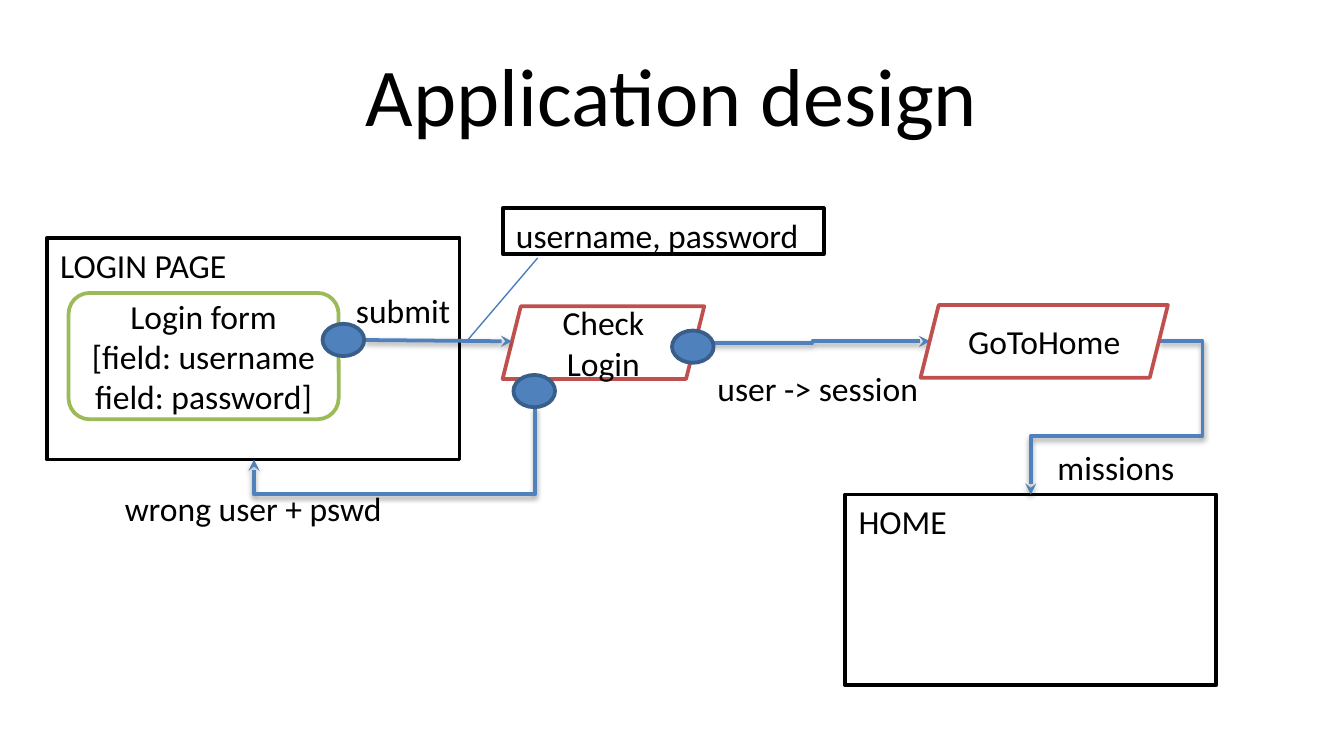
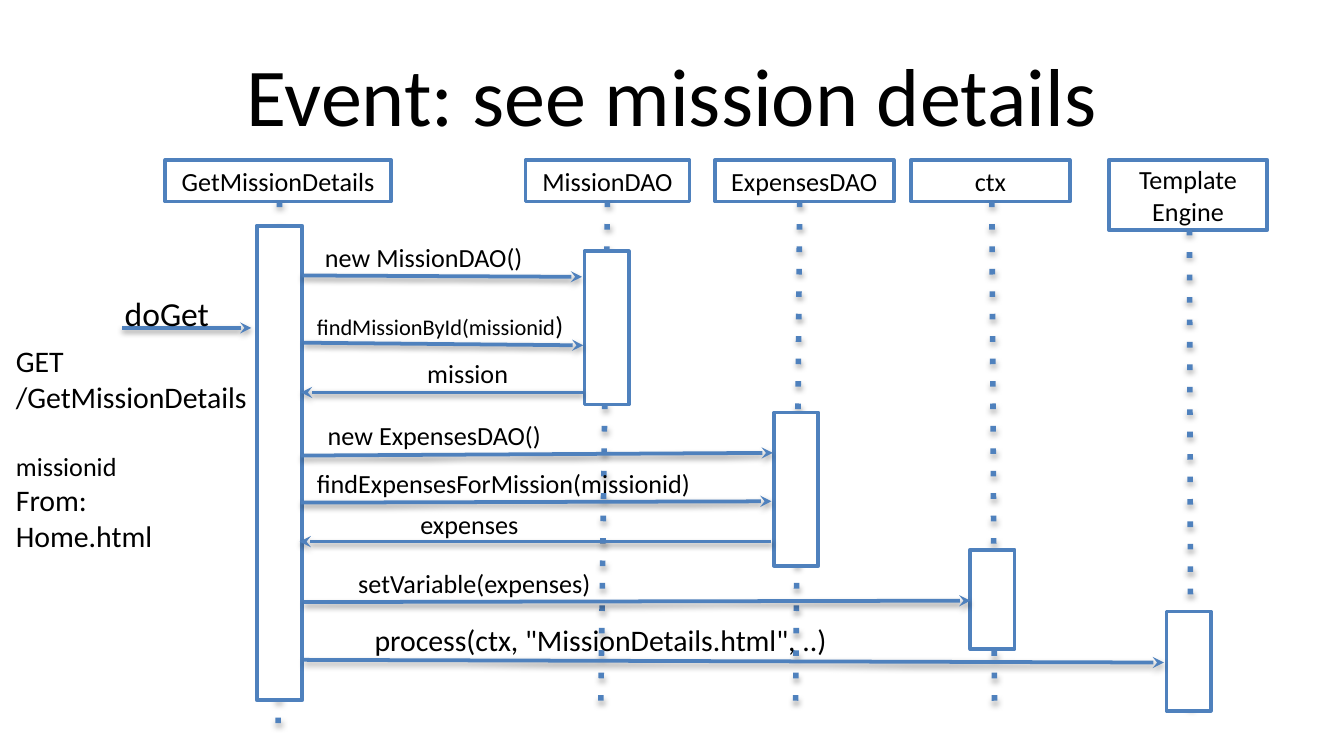
from lxml.etree import SubElement
from pptx import Presentation
from pptx.dml.color import RGBColor as RGB
from pptx.enum.shapes import MSO_CONNECTOR as CONN, MSO_SHAPE as SHAPE
from pptx.enum.text import MSO_ANCHOR as ANCHOR, PP_ALIGN as ALIGN
from pptx.oxml.ns import qn
from pptx.util import Inches, Pt

COLORS = {
    "black": "000000", "white": "FFFFFF", "blue": "4F81BD", "navy": "395E89",
    "note": "4A7DBA", "green": "9BBB59", "red": "C0504D",
}
FONT = "Calibri"


def add_box(s, kind, at, text="", size=18, fill="white", line="blue",
            align=ALIGN.LEFT, anchor=ANCHOR.TOP):
    """Add a preset shape, or a plain text box when kind is None."""
    at = [Inches(v) for v in at]
    if kind is None:
        sp = s.shapes.add_textbox(*at)
    else:
        sp = s.shapes.add_shape(kind, *at)
        sp.shadow.inherit = False
        sp.fill.solid()
        sp.fill.fore_color.rgb = RGB.from_string(COLORS[fill])
        sp.line.color.rgb = RGB.from_string(COLORS[line])
        sp.line.width = Pt(2)
    tf = sp.text_frame
    tf.word_wrap = True
    tf.vertical_anchor = anchor
    tf.text = text
    for p in tf.paragraphs:
        p.alignment = align
        for r in p.runs:
            r.font.name, r.font.size = FONT, Pt(size)
            r.font.color.rgb = RGB.from_string(COLORS["black"])
        for br in p._p.findall(qn("a:br")):
            SubElement(br, qn("a:rPr"), sz=str(size * 100))
    return sp


def add_line(s, points, kind=CONN.STRAIGHT, color="blue", width=2,
             arrow=True, dotted=False, shadow=True, adjust=()):
    c = s.shapes.add_connector(kind, *[Inches(v) for v in points])
    c.line.color.rgb = RGB.from_string(COLORS[color])
    c.line.width = Pt(width)
    sp_pr = c._element.spPr
    ln = sp_pr.find(qn("a:ln"))
    if dotted:
        SubElement(ln, qn("a:prstDash"), val="dot")
    if arrow:
        SubElement(ln, qn("a:tailEnd"), type="stealth")
    effects = SubElement(sp_pr, qn("a:effectLst"))
    if shadow:
        outer = SubElement(effects, qn("a:outerShdw"), blurRad=str(Pt(3.1)),
                           dist=str(Pt(1.8 if dotted else 1.6)),
                           dir="5400000", rotWithShape="0")
        black = SubElement(outer, qn("a:srgbClr"), val=COLORS["black"])
        SubElement(black, qn("a:alpha"), val="35000" if dotted else "38000")
    if adjust:
        geom = sp_pr.find(qn("a:prstGeom"))
        geom.set("prst", f"bentConnector{len(adjust) + 2}")
        guides = geom.find(qn("a:avLst"))
        for i, value in enumerate(adjust, 1):
            SubElement(guides, qn("a:gd"), name=f"adj{i}", fmla=f"val {value}")
    return c


prs = Presentation()
prs.slide_width = Inches(10)
prs.slide_height = prs.slide_width * 9 // 16
slides = []
for title in ("Application design", "Event: see mission details"):
    s = prs.slides.add_slide(prs.slide_layouts[5])
    sp = s.shapes.title
    sp.left, sp.top, sp.width, sp.height = [Inches(v) for v in (0.5, 0.23, 9, 0.94)]
    sp.text_frame.text = title
    sp.text_frame.vertical_anchor = ANCHOR.MIDDLE
    p = sp.text_frame.paragraphs[0]
    p.alignment = ALIGN.CENTER
    f = p.runs[0].font
    f.name, f.size = FONT, Pt(44)
    f.color.rgb = RGB.from_string(COLORS["black"])
    slides.append(s)
design, event = slides
centered = {"align": ALIGN.CENTER, "anchor": ANCHOR.MIDDLE}

# Application design: pages, form and actions
for at, text in [
    ((0.35, 1.77, 3.07, 1.65), "LOGIN PAGE"),
    ((6.29, 3.68, 2.76, 1.42), "HOME"),
    ((3.74, 1.55, 2.39, 0.34), "username, password"),
]:
    add_box(design, SHAPE.RECTANGLE, at, text, line="black")
add_box(design, SHAPE.ROUNDED_RECTANGLE, (0.51, 2.18, 2.01, 0.94),
        "Login form\v[field: username\nfield: password]", line="green", **centered)

# Flows between them
add_line(design, (5.17, 2.55, 6.92, 2.54), CONN.ELBOW, adjust=(50000,))
wrong_login = add_line(design, (2.74, 2.18, 3.13, 4.27), CONN.ELBOW, adjust=(166200,))
wrong_login._element.spPr.find(qn("a:xfrm")).set("rot", "5400000")
add_line(design, (8.62, 2.54, 7.67, 3.68), CONN.ELBOW, adjust=(-34500, 61800))
add_line(design, (4, 1.92, 3.48, 2.53), color="note", width=0.75, arrow=False, shadow=False)

for at, text in [
    ((3.74, 2.28, 1.5, 0.54), "Check\vLogin"),
    ((6.85, 2.27, 1.84, 0.54), "GoToHome"),
]:
    add_box(design, SHAPE.PARALLELOGRAM, at, text, line="red", **centered)
add_line(design, (2.72, 2.53, 3.81, 2.54))
for x, y in [(2.4, 2.41), (5, 2.46), (3.82, 2.79)]:
    add_box(design, SHAPE.OVAL, (x, y, 0.31, 0.24), fill="blue", line="navy")
for x, y, w, text in [
    (2.55, 2.11, 0.91, "submit"),
    (0.83, 3.58, 2.72, "wrong user + pswd"),
    (5.24, 2.69, 1.7, "user -> session"),
    (7.77, 3.28, 1.7, "missions"),
]:
    add_box(design, None, (x, y, w, 0.3), text)

# Event: participants as (name, left, width, height, lifeline, bar)
participants = [
    ("GetMissionDetails", 1.23, 1.68, 0.31, (2.08, 2.07, 5.42), (1.91, 1.68, 0.34, 3.53)),
    ("MissionDAO", 3.91, 1.22, 0.31, (4.52, 4.47, 5.28), (4.35, 1.87, 0.33, 1.14)),
    ("ExpensesDAO", 5.32, 1.33, 0.31, (5.95, 5.92, 5.25), (5.76, 3.07, 0.33, 1.14)),
    ("ctx", 6.78, 1.18, 0.31, (7.38, 7.4, 5.24), (7.22, 4.09, 0.33, 0.74)),
    ("Template\vEngine", 8.25, 1.18, 0.52, (8.85, 8.86, 5.27), (8.68, 4.55, 0.33, 0.74)),
]
top = 1.19
for name, x, w, h, (x1, x2, bottom), bar in participants:
    add_box(event, SHAPE.RECTANGLE, (x, top, w, h), name, 14, **centered)
    add_line(event, (x1, top + h, x2, bottom), width=3, arrow=False, dotted=True)
    add_box(event, SHAPE.RECTANGLE, bar)

# Messages as (text, size, alignment, label box, arrow)
left, center = ALIGN.LEFT, ALIGN.CENTER
messages = [
    ("doGet", 18, left, (0.83, 2.13, 1, 0.3), (0.91, 2.44, 1.87, 2.44)),
    ("new MissionDAO()", 14, left, (2.32, 1.75, 1.76, 0.25), (2.25, 2.05, 4.33, 2.06)),
    ("findMissionById(missionid", 12, left, (2.26, 2.25, 2.82, 0.25), (2.26, 2.55, 4.34, 2.57)),
    ("mission", 14, left, (3.08, 2.61, 1, 0.25), (4.34, 2.92, 2.24, 2.92)),
    ("new ExpensesDAO()", 14, left, (2.34, 3.07, 1.88, 0.25), (2.24, 3.39, 5.75, 3.37)),
    ("findExpensesForMission(missionid)", 14, left, (2.26, 3.43, 3.06, 0.3),
     (2.24, 3.74, 5.74, 3.73)),
    ("expenses", 14, left, (3.03, 3.73, 1, 0.25), (5.74, 4.03, 2.23, 4.03)),
    ("setVariable(expenses)", 14, center, (2.51, 4.17, 2.04, 0.28), (2.26, 4.48, 7.22, 4.47)),
    ('process(ctx, "MissionDetails.html", ..)', 16, center, (2.58, 4.58, 3.78, 0.36),
     (2.26, 4.91, 8.66, 4.93)),
]
for text, size, align, at, points in messages:
    add_line(event, points)
    sp = add_box(event, None, at, text, size, align=align)
    if text.startswith("findMissionById"):
        r = sp.text_frame.paragraphs[0].add_run()
        r.text = ")"
        r.font.name, r.font.size = FONT, Pt(14)
        r.font.color.rgb = RGB.from_string(COLORS["black"])

request = add_box(event, None, (0.02, 2.5, 1.93, 2.49),
                  "GET\n/GetMissionDetails\nmissionid\nFrom:\nHome.html", 16)
p = request.text_frame.paragraphs[2]
p.space_before = Pt(19.5)
p.runs[0].font.size = Pt(14)

prs.save("out.pptx")
